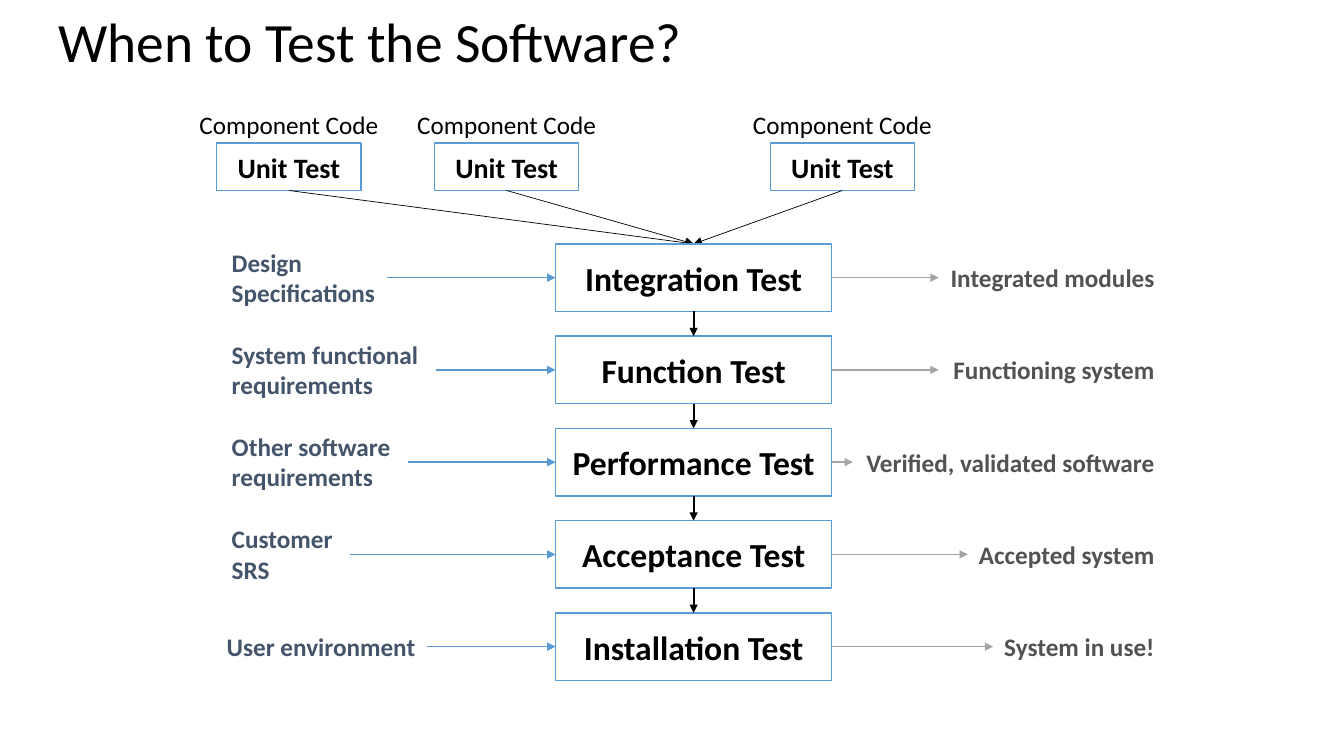
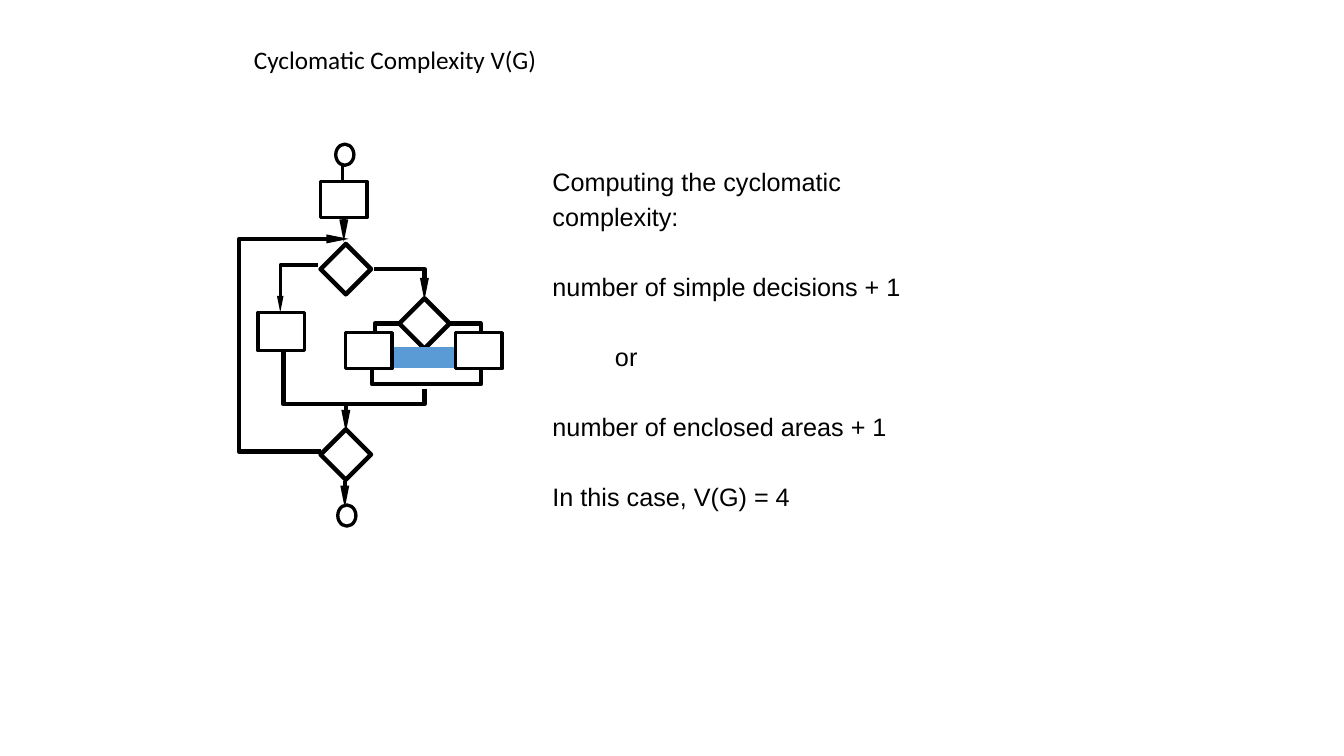
from pptx import Presentation
from pptx.dml.color import RGBColor
from pptx.enum.shapes import MSO_CONNECTOR, MSO_SHAPE as SHAPE
from pptx.enum.text import MSO_ANCHOR as ANCHOR, PP_ALIGN as ALIGN
from pptx.oxml.ns import qn
from pptx.util import Inches, Pt
from lxml.etree import SubElement

BLACK = RGBColor(0x00, 0x00, 0x00)
WHITE = RGBColor(0xFF, 0xFF, 0xFF)
BLUE = RGBColor(0x5B, 0x9B, 0xD5)
SLATE = RGBColor(0x44, 0x54, 0x6A)
DARK_GREY = RGBColor(0x52, 0x52, 0x52)
GREY = RGBColor(0xA5, 0xA5, 0xA5)
THIN, THICK = 2.38, 3.2


class Deck:
    """Holds the shared style and the slide being drawn."""
    font = "Calibri"

    def __init__(self):
        self.prs = Presentation()
        self.prs.slide_width, self.prs.slide_height = Inches(13.33), Inches(7.5)
        self.shapes = None

    def new_slide(self):
        self.shapes = self.prs.slides.add_slide(self.prs.slide_layouts[6]).shapes

    def set_text(self, frame, lines, size, color=BLACK, bold=False,
                 align=ALIGN.LEFT, anchor=ANCHOR.MIDDLE, font=None):
        frame.vertical_anchor = anchor
        frame.text = "\n".join(lines)
        for paragraph in frame.paragraphs:
            paragraph.alignment = align
            paragraph.font.name = font or self.font
            paragraph.font.size = Pt(size)
            paragraph.font.bold = bold
            paragraph.font.color.rgb = color
        return frame

    def text(self, lines, left, top, width, height, size, wrap=True, **style):
        box = self.shapes.add_textbox(*map(Inches, (left, top, width, height)))
        box.text_frame.word_wrap = wrap
        return self.set_text(box.text_frame, lines, size, **style)

    def title(self, words, left, top, width, height, size):
        frame = self.text([words], left, top, width, height, size)
        frame.paragraphs[0].line_spacing = 0.9

    def shape(self, kind, left, top, width, height, line=BLACK, weight=THIN, fill=WHITE):
        item = self.shapes.add_shape(kind, *map(Inches, (left, top, width, height)))
        item.shadow.inherit = False
        item.fill.solid()
        item.fill.fore_color.rgb = fill
        item.line.color.rgb = line
        item.line.width = Pt(weight)
        return item

    def labelled_box(self, words, left, top, width, height, size):
        box = self.shape(SHAPE.RECTANGLE, left, top, width, height, BLUE, 1)
        self.set_text(box.text_frame, [words], size, bold=True, align=ALIGN.CENTER)

    def route(self, points, color=BLACK, weight=THICK, head=None):
        """Line through the points; head gives arrowhead width and length."""
        points = [(Inches(x), Inches(y)) for x, y in points]
        if len(points) == 2:
            line = self.shapes.add_connector(MSO_CONNECTOR.STRAIGHT, *points[0], *points[1])
        else:
            builder = self.shapes.build_freeform(*points[0])
            builder.add_line_segments(points[1:], close=False)
            line = builder.convert_to_shape()
            line.fill.background()
        line.line.color.rgb = color
        line.line.width = Pt(weight)
        properties = line._element.spPr
        if head:
            SubElement(properties.find(qn("a:ln")), qn("a:tailEnd"),
                       type="triangle", w=head[0], len=head[1])
        SubElement(properties, qn("a:effectLst"))


MEDIUM_HEAD, LONG_HEAD = ("med", "med"), ("sm", "lg")


def test_stages(deck):
    deck.new_slide()
    deck.title("When to Test the Software?", 0.48, 0.11, 7.83, 0.66, 39.6)

    stage_left, stage_width, stage_height = 5.51, 2.74, 0.67
    stage_right = stage_left + stage_width
    stage_center = stage_left + stage_width / 2
    first_top, last_top = 2.42, 6.08
    output_right = 11.55

    # Stage, its inputs with their left and right edges, its output with its left edge
    stages = [
        ("Integration Test", ["Design", "Specifications"], 2.2, 3.84,
         "Integrated modules", 9.31),
        ("Function Test", ["System functional", "requirements"], 2.2, 4.32,
         "Functioning system", 9.31),
        ("Performance Test", ["Other software", "requirements"], 2.2, 4.05,
         "Verified, validated software", 8.46),
        ("Acceptance Test", ["Customer", "SRS"], 2.2, 3.47, "Accepted system", 9.6),
        ("Installation Test", ["User environment"], 2.15, 4.24, "System in use!", 9.85),
    ]
    step = (last_top - first_top) / (len(stages) - 1)

    # Unit tests feeding the integration test
    unit_width, label_width = 1.43, 2.02
    for unit_left in (2.15, 4.31, 7.64):
        unit_center = unit_left + unit_width / 2
        deck.text(["Component Code"], unit_center - label_width / 2, 1.03,
                  label_width, 0.4, 18, align=ALIGN.CENTER)
        deck.labelled_box("Unit Test", unit_left, 1.42, unit_width, 0.47, 20)
        deck.route([(unit_center, 1.89), (stage_center, first_top)],
                   weight=0.5, head=MEDIUM_HEAD)

    # Stages with inputs and outputs
    for index, (stage, inputs, input_left, input_right, output, output_left) in enumerate(stages):
        top = first_top + index * step
        middle = top + stage_height / 2
        deck.labelled_box(stage, stage_left, top, stage_width, stage_height, 24)
        deck.text(inputs, input_left, middle - 0.36, input_right - input_left, 0.71, 18,
                  wrap=False, color=SLATE, bold=True)
        deck.text([output], output_left, middle - 0.2, output_right - output_left, 0.4, 18,
                  wrap=False, color=DARK_GREY, bold=True, align=ALIGN.RIGHT)
        deck.route([(input_right, middle), (stage_left, middle)], BLUE, 1, MEDIUM_HEAD)
        deck.route([(stage_right, middle), (output_left, middle)], GREY, 1, MEDIUM_HEAD)
        if index:
            deck.route([(stage_center, top - step + stage_height), (stage_center, top)],
                       weight=1.5, head=MEDIUM_HEAD)


def cyclomatic_complexity(deck):
    deck.new_slide()
    deck.title("Cyclomatic Complexity V(G)", 2.42, 0.11, 8.5, 1, 18)

    # Flow lines: points, weight, arrowhead
    flows = [
        ([(3.4, 1.62), (3.4, 1.82)], THIN, None),
        ([(3.41, 2.15), (3.41, 2.4)], THICK, LONG_HEAD),
        ([(3.18, 4.48), (2.37, 4.48), (2.37, 2.37), (3.46, 2.37)], THICK, LONG_HEAD),
        ([(3.15, 2.63), (2.78, 2.63), (2.78, 3.1)], THIN, LONG_HEAD),
        ([(3.71, 2.67), (4.21, 2.67), (4.21, 2.98)], THICK, LONG_HEAD),
        ([(4.46, 3.21), (4.77, 3.21), (4.77, 3.45)], THICK, None),
        ([(3.99, 3.21), (3.72, 3.21), (3.72, 3.51)], THICK, None),
        ([(3.69, 3.6), (3.69, 3.81), (4.77, 3.81), (4.77, 3.6)], THICK, None),
        ([(2.81, 3.48), (2.81, 4.01), (4.21, 4.01), (4.21, 3.86)], THICK, None),
        ([(3.43, 4.02), (3.43, 4.29)], THICK, LONG_HEAD),
        ([(3.42, 4.77), (3.42, 5.04)], THICK, LONG_HEAD),
    ]
    for points, weight, head in flows:
        deck.route(points, weight=weight, head=head)

    # Decisions
    side = 0.5
    for center_x, center_y in ((3.43, 2.67), (4.21, 3.21), (3.43, 4.51)):
        deck.shape(SHAPE.DIAMOND, center_x - side / 2, center_y - side / 2,
                   side, side, weight=THICK)

    # Enclosed area, process steps, start and end
    deck.shape(SHAPE.RECTANGLE, 3.91, 3.45, 0.59, 0.19, BLUE, 1, BLUE)
    for left, top, height in ((3.18, 1.8, 0.36), (2.56, 3.1, 0.38),
                              (3.43, 3.3, 0.36), (4.52, 3.3, 0.36)):
        deck.shape(SHAPE.RECTANGLE, left, top, 0.46, height)
    for left, top in ((3.33, 1.43), (3.35, 5.01)):
        deck.shape(SHAPE.OVAL, left, top, 0.18, 0.21)

    # Explanation
    explanation = deck.text(
        ["Computing the cyclomatic\vcomplexity:", "number of simple decisions + 1", "or",
         "number of enclosed areas + 1", "In this case, V(G) = 4"],
        5.48, 1.6, 4.5, 3.82, 18, anchor=ANCHOR.TOP, font="Arial")
    explanation.margin_left = explanation.margin_right = 0
    explanation.margin_top = explanation.margin_bottom = 0
    for paragraph in explanation.paragraphs:
        paragraph.line_spacing = Pt(25)
    for paragraph in explanation.paragraphs[1:]:
        paragraph.space_before = Pt(25)
    alternative = explanation.paragraphs[2]
    alternative._p.get_or_add_pPr().set("marL", str(Inches(0.62)))


def main():
    deck = Deck()
    test_stages(deck)
    cyclomatic_complexity(deck)
    deck.prs.save("out.pptx")


if __name__ == "__main__":
    main()
